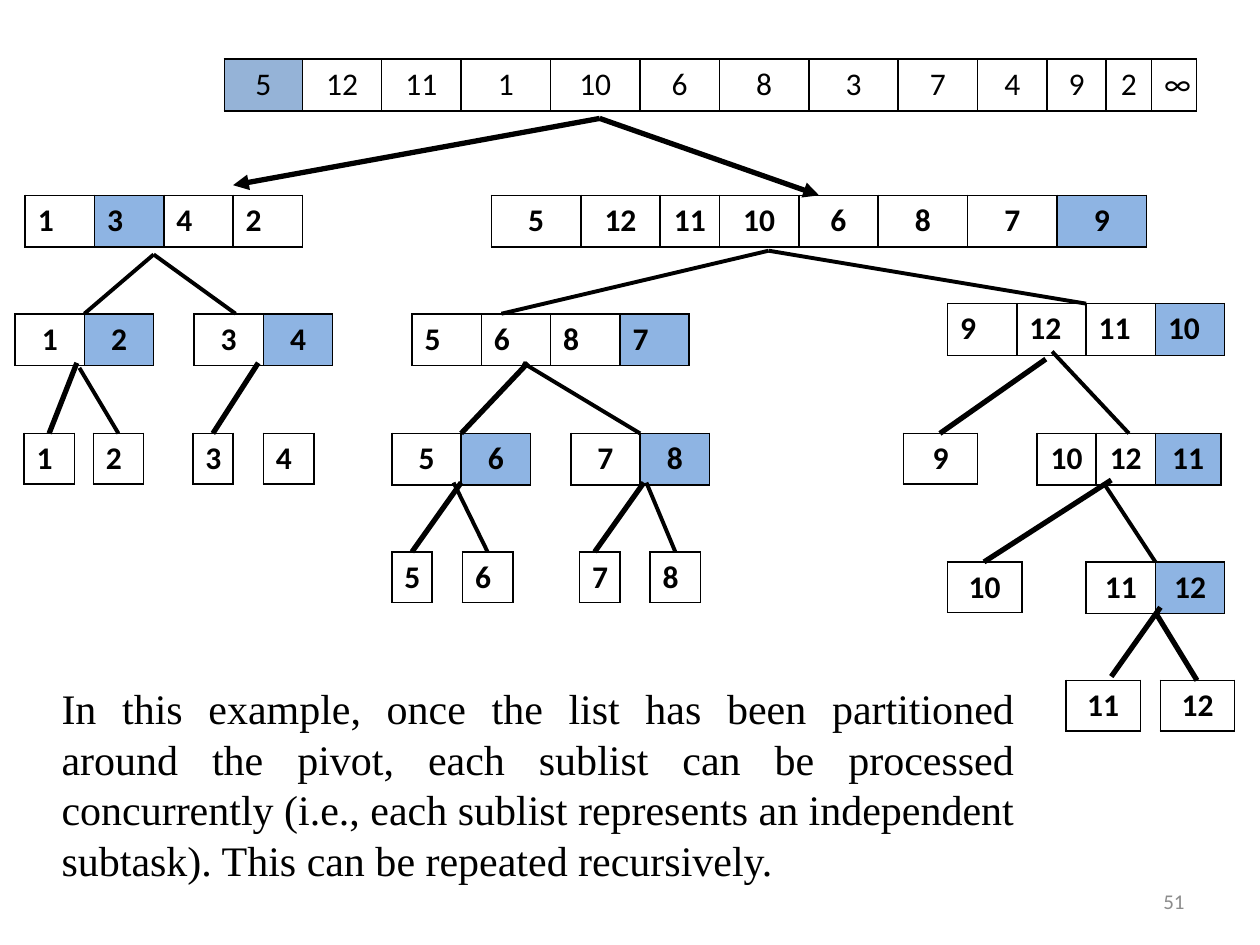
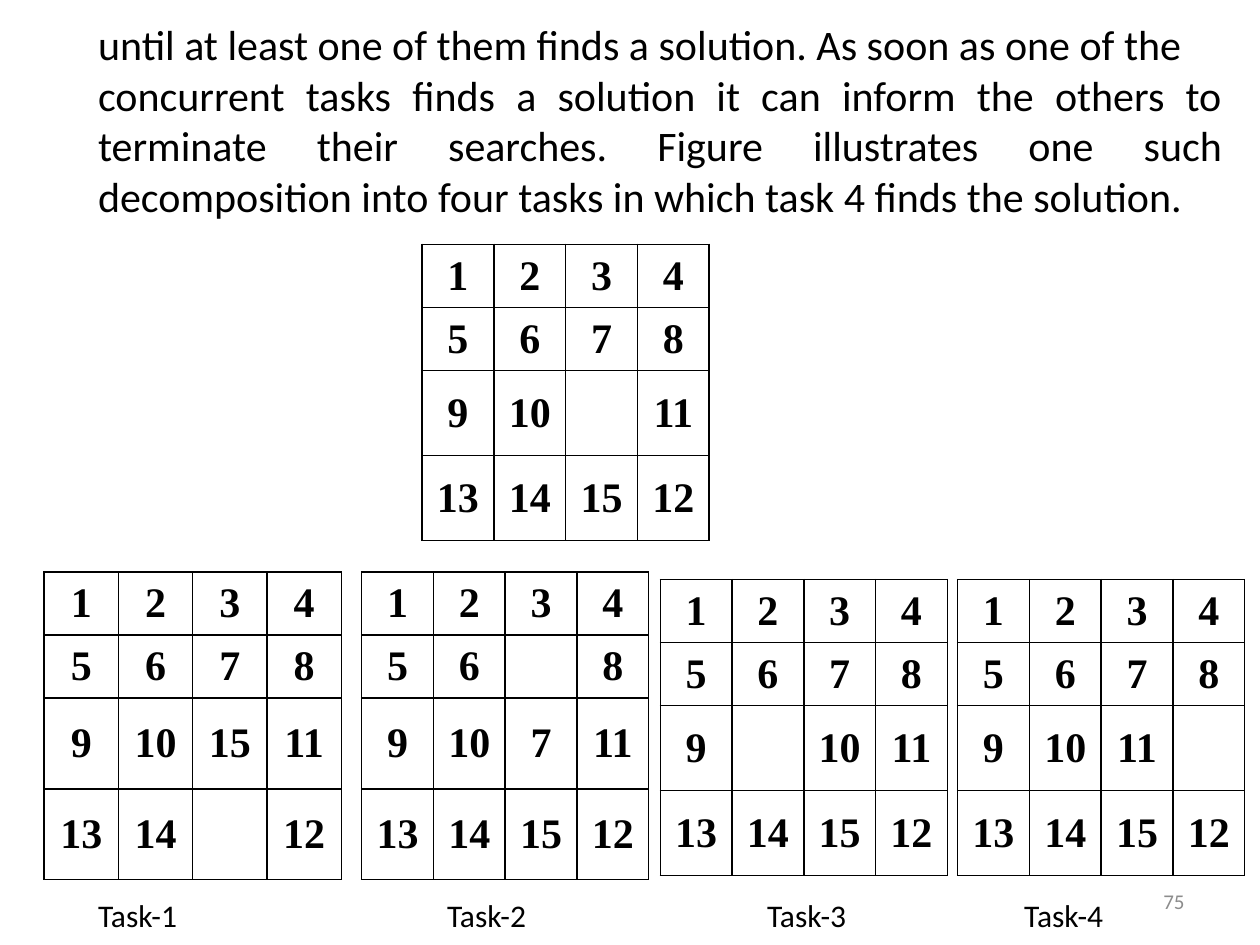
from pptx import Presentation
from pptx.dml.color import RGBColor
from pptx.enum.shapes import MSO_CONNECTOR
from pptx.enum.text import MSO_ANCHOR, PP_ALIGN
from pptx.oxml.ns import qn
from pptx.util import Inches, Pt
from lxml.etree import SubElement

LEFT, MID, RIGHT, JUST = (PP_ALIGN.LEFT, PP_ALIGN.CENTER,
                          PP_ALIGN.RIGHT, PP_ALIGN.JUSTIFY)
TOP, CENTRE = MSO_ANCHOR.TOP, MSO_ANCHOR.MIDDLE
STRAIGHT = MSO_CONNECTOR.STRAIGHT

BLACK, GREY, PIVOT, ROOT = "000000", "8C8C8C", "8EB4E3", "95B3D7"
SANS, SERIF = "Calibri", "Times New Roman"
ITEM = {"name": SANS, "size": Pt(18), "bold": False}
NODE = {**ITEM, "bold": True}
TILE = {"name": SERIF, "size": Pt(24), "bold": True}
BODY = {"name": SANS, "size": Pt(24)}
NOTE = {"name": SERIF, "size": Pt(24)}
FOOT = {"name": SANS, "size": Pt(12)}

# Content: the sorting tree, as (left, top, column widths, values, pivot column)
LIST = (1.78, 0.47,
        [.62, .63, .63, .71, .71, .63, .71, .71, .63, .55, .47, .36, .36],
        "5 12 11 1 10 6 8 3 7 4 9 2 ∞", 0)
Y1, Y2, Y3, Y4, Y5 = 1.55, 2.49, 3.44, 4.38, 5.4
PAIR, FOUR, SLIM, SLOT, WIDE = [.55] * 2, [.55] * 4, [.32], [.4], [.59]
LEFT_NODES = [
    (0.2, Y1, FOUR, "1 3 4 2", 1),
    (3.27, Y2, FOUR, "5 6 8 7", 3),
    (7.52, 2.41, FOUR, "9 12 11 10", 3),
    (0.19, Y3, SLOT, "1", None),
    (0.74, Y3, SLOT, "2", None),
    (1.53, Y3, SLIM, "3", None),
    (2.09, Y3, SLOT, "4", None),
    (3.11, Y4, SLIM, "5", None),
    (3.67, Y4, SLOT, "6", None),
    (4.6, Y4, SLIM, "7", None),
    (5.16, Y4, SLOT, "8", None),
]
MID_NODES = [
    (3.9, Y1, [.71, .63, .47, .63, .63, .71, .71, .71], "5 12 11 10 6 8 7 9", 7),
    (0.12, Y2, PAIR, "1 2", 1),
    (1.54, Y2, PAIR, "3 4", 1),
    (3.11, Y3, PAIR, "5 6", 1),
    (4.53, Y3, PAIR, "7 8", 1),
    (7.17, Y3, WIDE, "9", None),
    (8.23, Y3, [.47, .47, .52], "10 12 11", 2),
    (7.52, 4.46, WIDE, "10", None),
    (8.62, 4.46, PAIR, "11 12", 1),
    (8.46, Y5, WIDE, "11", None),
    (9.21, Y5, WIDE, "12", None),
]
# Branches: (x1, y1, x2, y2)
ARROWS = [(4.76, .94, 1.85, 1.47), (4.76, .94, 6.5, 1.55)]
THICK = [
    (.61, 2.88, .39, Y3), (2.05, 2.88, 1.69, Y3), (4.19, 2.88, 3.66, Y3),
    (8.3, 2.85, 7.46, Y3), (3.66, 3.83, 3.27, Y4), (5.11, 3.83, 4.72, Y4),
    (8.82, 3.81, 7.81, 4.46), (9.21, 4.82, 8.82, 5.37), (9.17, 4.86, 9.5, Y5),
]
THIN = [
    (1.22, 2.02, .67, Y2), (1.22, 2.02, 1.87, Y2), (6.1, 1.99, 3.98, Y2),
    (6.1, 1.99, 8.62, 2.41), (.63, 2.92, .94, Y3), (4.15, 2.88, 5.08, Y3),
    (3.6, 3.83, 3.87, Y4), (5.13, 3.83, 5.36, Y4), (8.35, 2.79, 8.96, Y3),
    (8.77, 3.85, 9.17, 4.46),
]
SORT_TEXT = ["In this example, once the list has been partitioned around the "
             "pivot, each sublist can be processed concurrently (i.e., each "
             "sublist represents an independent subtask). This can be "
             "repeated recursively."]

# Content: the tile puzzle, as (left, top, column width, height, rows); - is blank
BOARDS = [
    (3.35, 1.94, .57, 2.35, ["1 2 3 4", "5 6 7 8", "9 10 - 11", "13 14 15 12"]),
    (0.35, 4.54, .59, 2.44, ["1 2 3 4", "5 6 7 8", "9 10 15 11", "13 14 - 12"]),
    (2.87, 4.54, .57, 2.44, ["1 2 3 4", "5 6 - 8", "9 10 7 11", "13 14 15 12"]),
    (5.24, 4.6, .57, 2.35, ["1 2 3 4", "5 6 7 8", "9 - 10 11", "13 14 15 12"]),
    (7.6, 4.6, .57, 2.35, ["1 2 3 4", "5 6 7 8", "9 10 11 -", "13 14 15 12"]),
]
SEARCH_TEXT = [
    "until at least one of them finds a solution. As soon as one of the",
    "concurrent tasks finds a solution it can inform the others to terminate "
    "their searches. Figure illustrates one such decomposition into four "
    "tasks in which task 4 finds the solution.",
]
TASKS = ["Task-1", "Task-2", "Task-3", "Task-4"]
TASK_TABS = [2.77, 5.31, 7.35]


def rgb(code):
    return RGBColor.from_string(code)


def style(para, align, look, color=BLACK):
    para.alignment = align
    for key, value in look.items():
        setattr(para.font, key, value)
    para.font.color.rgb = rgb(color)


def write(slide, box, lines, align, look, color=BLACK, anchor=TOP, tabs=()):
    """Add a wrapped text box with one paragraph per line."""
    frame = slide.shapes.add_textbox(*map(Inches, box)).text_frame
    frame.word_wrap = True
    frame.vertical_anchor = anchor
    frame.text = "\n".join(lines)
    for para in frame.paragraphs:
        if tabs:
            stops = SubElement(para._p.get_or_add_pPr(), qn("a:tabLst"))
            for stop in tabs:
                SubElement(stops, qn("a:tab"), pos=str(Inches(stop)), algn="l")
        style(para, align, look, color)


def edge(cell):
    """Rule all four sides of a cell in black, 1 pt."""
    props = cell._tc.get_or_add_tcPr()
    for side in "LRTB":
        line = SubElement(props, qn(f"a:ln{side}"), w=str(Pt(1)))
        fill = SubElement(line, qn("a:solidFill"))
        SubElement(fill, qn("a:srgbClr"), val=BLACK)


def grid(slide, x, y, cols, rows, texts, look, align, anchor=TOP, fills=None):
    """Add a ruled table; fills maps (row, column) to a colour."""
    size = map(Inches, (x, y, sum(cols), sum(rows)))
    table = slide.shapes.add_table(len(rows), len(cols), *size).table
    table.first_row = table.horz_banding = False
    for col, width in zip(table.columns, cols):
        col.width = Inches(width)
    for row, height in zip(table.rows, rows):
        row.height = Inches(height)
    for r, line in enumerate(texts):
        for c, text in enumerate(line.split()):
            cell = table.cell(r, c)
            edge(cell)
            color = (fills or {}).get((r, c))
            if color:
                cell.fill.solid()
                cell.fill.fore_color.rgb = rgb(color)
            else:
                cell.fill.background()
            cell.vertical_anchor = anchor
            if text != "-":
                cell.text = text
                style(cell.text_frame.paragraphs[0], align, look)


def node(slide, spec, look, align, color=PIVOT):
    x, y, cols, text, pivot = spec
    grid(slide, x, y, cols, [.41 if len(cols) > 1 else .4], [text], look, align,
         fills={(0, pivot): color})


def branch(slide, ends, width, arrow=False):
    link = slide.shapes.add_connector(STRAIGHT, *map(Inches, ends))
    link.line.color.rgb = rgb(BLACK)
    link.line.width = Pt(width)
    if arrow:
        SubElement(link.line._get_or_add_ln(), qn("a:tailEnd"), type="triangle")
    SubElement(link._element.spPr, qn("a:effectLst"))


def page(deck, number):
    slide = deck.slides.add_slide(deck.slide_layouts[6])
    write(slide, (7.17, 6.95, 2.33, .4), [number], RIGHT, FOOT, GREY, CENTRE)
    return slide


def sort_page(deck):
    slide = page(deck, "51")
    node(slide, LIST, ITEM, MID, ROOT)
    for nodes, align in ((LEFT_NODES, LEFT), (MID_NODES, MID)):
        for spec in nodes:
            node(slide, spec, NODE, align)
    for lines, width, arrow in ((ARROWS, 3, True), (THICK, 3, False),
                                (THIN, 2.25, False)):
        for ends in lines:
            branch(slide, ends, width, arrow)
    write(slide, (.39, 5.37, 7.76, 1.72), SORT_TEXT, JUST, NOTE)


def search_page(deck):
    slide = page(deck, "75")
    write(slide, (.68, .1, 9.12, 2.12), SEARCH_TEXT, JUST, BODY)
    for x, y, width, height, texts in BOARDS:
        rows = [.5] * 2 + [(height - 1) / 2] * 2
        grid(slide, x, y, [width] * 4, rows, texts, TILE, MID, CENTRE)
    write(slide, (.68, 7.06, 8.42, .4), ["\t".join(TASKS)], LEFT, ITEM,
          tabs=TASK_TABS)


def main():
    deck = Presentation()
    deck.slide_width, deck.slide_height = Inches(10), Inches(7.5)
    sort_page(deck)
    search_page(deck)
    deck.save("out.pptx")


if __name__ == "__main__":
    main()
